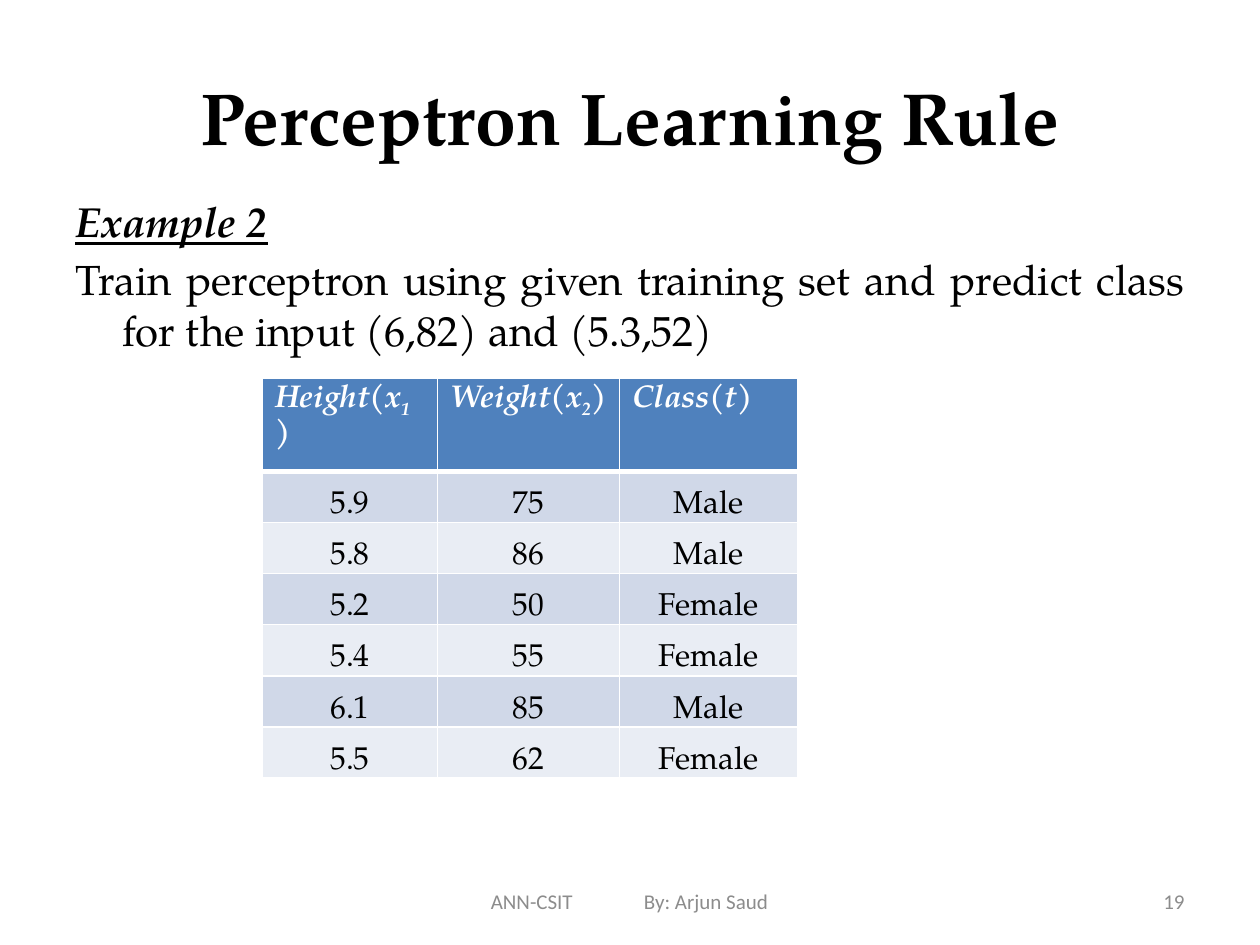
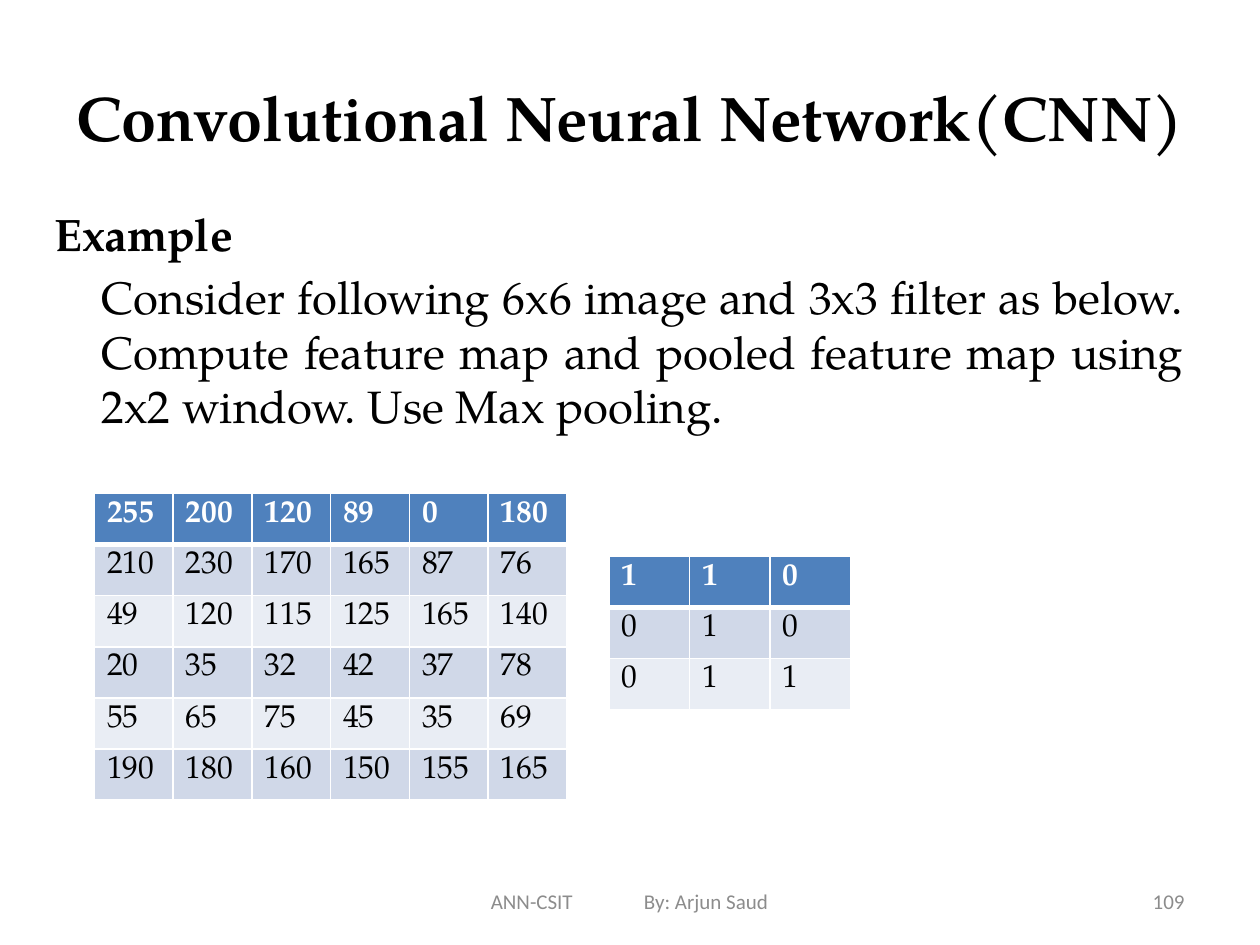
from lxml.etree import SubElement
from pptx import Presentation
from pptx.dml.color import RGBColor
from pptx.enum.text import MSO_ANCHOR, PP_ALIGN
from pptx.oxml import parse_xml
from pptx.oxml.ns import nsdecls, qn
from pptx.util import Pt

ALIGN = {"l": PP_ALIGN.LEFT, "c": PP_ALIGN.CENTER, "r": PP_ALIGN.RIGHT, "j": PP_ALIGN.JUSTIFY}


def color(hex_text):
    return RGBColor.from_string(hex_text)


def write(p, text, font="TeX Gyre Pagella", size=18, fill="000000", bold=False,
          italic=False, underline=False, base=0, align="l"):
    p.alignment = ALIGN[align]
    r = p.add_run()
    r.text = text
    f = r.font
    f.name, f.size, f.bold, f.italic, f.underline = font, Pt(size), bold, italic, underline
    f.color.rgb = color(fill)
    if base:
        r._r.get_or_add_rPr().set("baseline", str(base * 1000))


class Deck:
    white, header, bands = "FFFFFF", "4F81BD", ("D0D8E8", "E9EDF4")
    footer_style = {"font": "Calibri", "size": 12, "fill": "8C8C8C"}
    hang = 27
    row_height = 29.2

    def __init__(self):
        self.prs = Presentation()
        self.prs.slide_width, self.prs.slide_height = Pt(720), Pt(540)
        self.s = None

    def slide(self, title, title_size, number):
        self.s = self.prs.slides.add_slide(self.prs.slide_layouts[6])
        tf = self.box(36, 21.6, 648, 90, MSO_ANCHOR.MIDDLE)
        write(tf.paragraphs[0], title, size=title_size, bold=True, align="c")
        self.footer(number)

    def box(self, x, y, w, h, anchor=MSO_ANCHOR.TOP):
        tf = self.s.shapes.add_textbox(Pt(x), Pt(y), Pt(w), Pt(h)).text_frame
        tf.word_wrap = True
        tf.vertical_anchor = anchor
        return tf

    def footer(self, number):
        tf = self.box(516, 500.5, 168, 28.8, MSO_ANCHOR.MIDDLE)
        write(tf.paragraphs[0], str(number), align="r", **self.footer_style)
        tf = self.box(246, 500.5, 228, 28.8, MSO_ANCHOR.MIDDLE)
        tf.margin_left = Pt(34.5)
        p = tf.paragraphs[0]
        tabs = SubElement(p._p.get_or_add_pPr(), qn("a:tabLst"))
        SubElement(tabs, qn("a:tab"), pos=str(Pt(87.5)), algn="l")
        write(p, "ANN-CSIT\tBy: Arjun Saud", **self.footer_style)

    def body(self, x, y, w, h, size, heading, text, hanging=True, **heading_style):
        tf = self.box(x, y, w, h)
        items = ((heading, True, {"bold": True, **heading_style}), (text, hanging, {}))
        for i, (words, hangs, style) in enumerate(items):
            p = tf.add_paragraph() if i else tf.paragraphs[0]
            p.space_before = Pt(size * 0.2)
            pPr = p._p.get_or_add_pPr()
            pPr.set("marL", str(Pt(self.hang)))
            pPr.set("indent", str(Pt(-self.hang if hangs else 0)))
            write(p, words, size=size, align="j", **style)

    def borders(self, cell, **widths):
        tcPr = cell._tc.get_or_add_tcPr()
        for i, side in enumerate("LRTB"):
            tcPr.insert(i, parse_xml(
                f'<a:ln{side} {nsdecls("a")} w="{Pt(widths.get(side, 1))}"><a:solidFill>'
                f'<a:srgbClr val="{self.white}"/></a:solidFill></a:ln{side}>'))

    def table(self, x, y, widths, rows, header_italic=False, centered=False):
        frame = self.s.shapes.add_table(len(rows), len(widths), Pt(x), Pt(y),
                                        Pt(sum(widths)), Pt(self.row_height * len(rows)))
        tbl = frame.table
        tbl.horz_banding = False
        for column, width in zip(tbl.columns, widths):
            column.width = Pt(width)
        for i, row in enumerate(rows):
            tbl.rows[i].height = Pt(self.row_height)
            for j, value in enumerate(row):
                self.cell(tbl.cell(i, j), i, value, header_italic, centered)

    def cell(self, cell, i, value, header_italic, centered):
        cell.fill.solid()
        cell.fill.fore_color.rgb = color(self.bands[(i - 1) % 2] if i else self.header)
        p = cell.text_frame.paragraphs[0]
        if i == 0:
            self.borders(cell, B=3)
            for text, base in value if isinstance(value, list) else [(str(value), 0)]:
                write(p, text, fill=self.white, bold=True, italic=header_italic, base=base)
            return
        self.borders(cell, T=3 if i == 1 else 1)
        if centered:
            cell.vertical_anchor = MSO_ANCHOR.BOTTOM
            cell.margin_left = cell.margin_right = cell.margin_top = Pt(0.72)
            cell.margin_bottom = Pt(0)
        write(p, str(value), align="c" if centered else "l")


def main():
    d = Deck()

    d.slide("Perceptron Learning Rule", 42, 19)
    d.body(36, 108, 648, 396, 24, "Example 2",
           "Train perceptron using given training set and predict class for the input "
           "(6,82) and (5.3,52)", italic=True, underline=True)
    training_set = [
        [[("Height(x", 0), ("1", -25), (")", 0)], [("Weight(x", 0), ("2", -25), (")", 0)], "Class(t)"],
        [5.9, 75, "Male"],
        [5.8, 86, "Male"],
        [5.2, 50, "Female"],
        [5.4, 55, "Female"],
        [6.1, 85, "Male"],
        [5.5, 62, "Female"],
    ]
    d.table(150, 216, [100, 104, 102], training_set, header_italic=True, centered=True)

    d.slide("Convolutional Neural Network(CNN)", 36, 109)
    d.body(24, 114, 660, 384, 26, "Example",
           "Consider following 6x6 image and 3x3 filter as below. Compute feature map and "
           "pooled feature map using 2x2 window. Use Max pooling.", hanging=False)
    image_pixels = [
        [255, 200, 120, 89, 0, 180],
        [210, 230, 170, 165, 87, 76],
        [49, 120, 115, 125, 165, 140],
        [20, 35, 32, 42, 37, 78],
        [55, 65, 75, 45, 35, 69],
        [190, 180, 160, 150, 155, 165],
    ]
    filter_weights = [[1, 1, 0], [0, 1, 0], [0, 1, 1]]
    d.table(54, 282, [45] * 6, image_pixels)
    d.table(348, 318, [46] * 3, filter_weights)

    d.prs.save("out.pptx")


if __name__ == "__main__":
    main()
